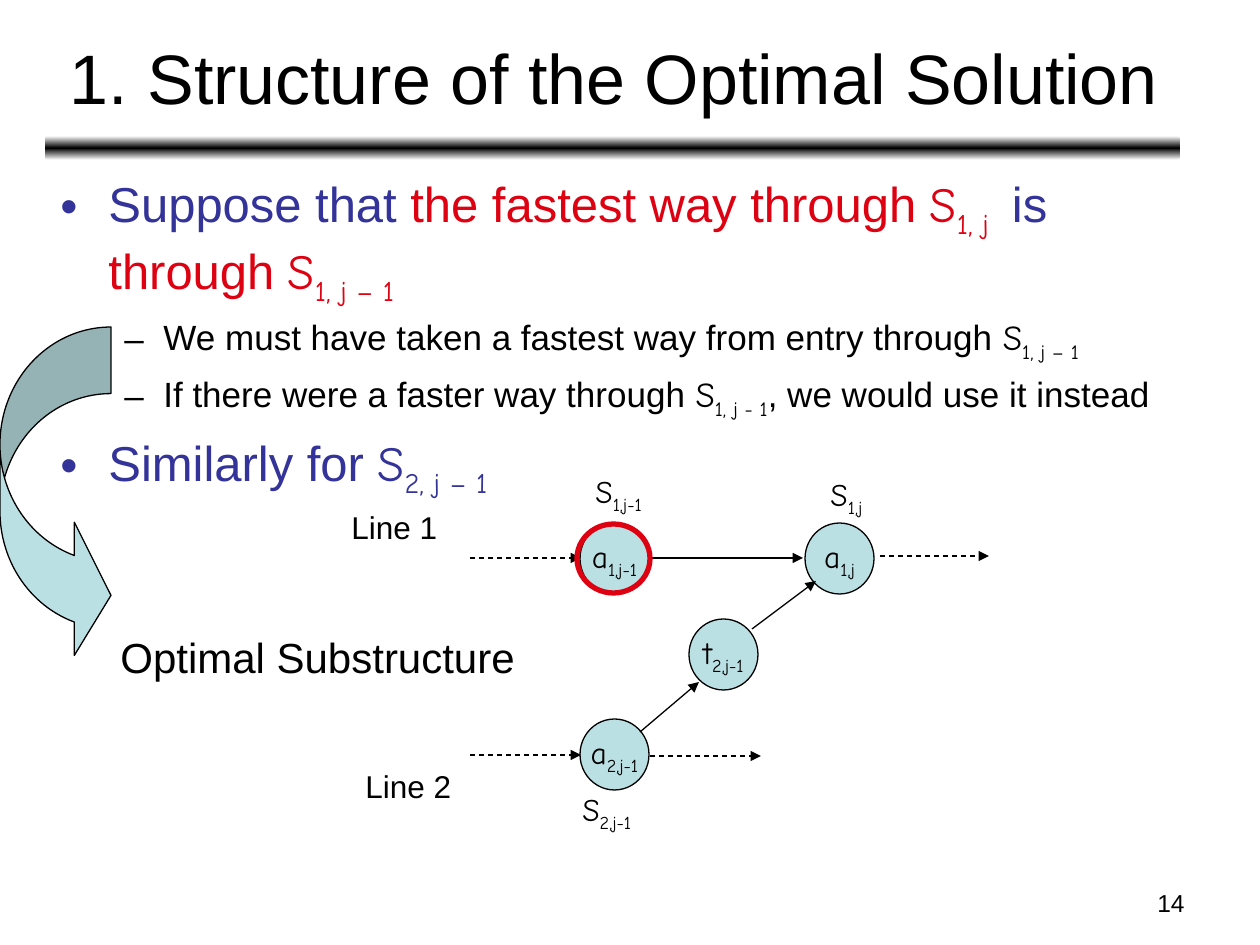
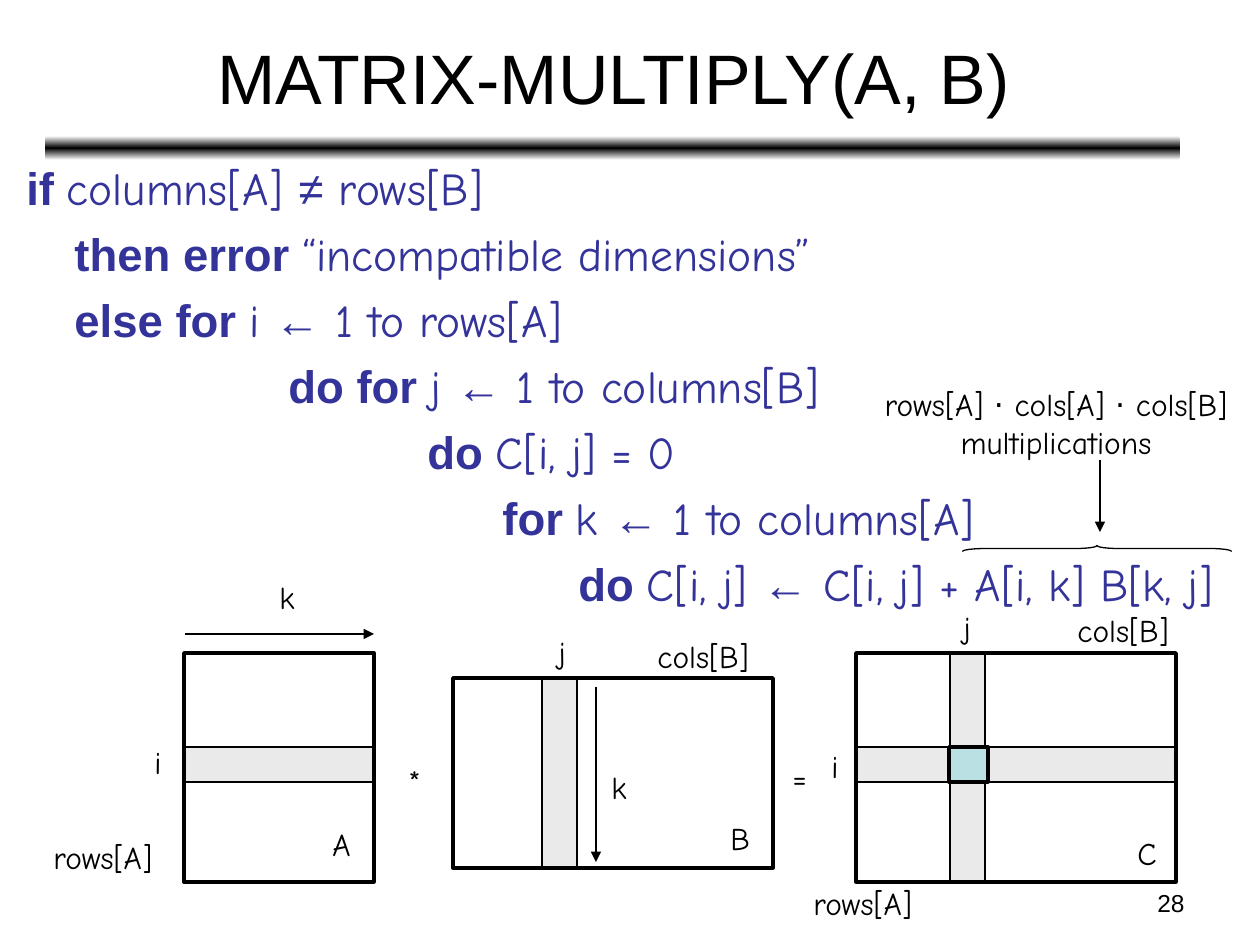
from copy import deepcopy

from pptx import Presentation
from pptx import util as u
from pptx.dml.color import RGBColor
from pptx.enum import dml, shapes, text
from pptx.oxml.ns import qn
from pptx.oxml.xmlchemy import OxmlElement

SCALE = 914400 / 126  # EMU in one px
SANS, COMIC = "Arial", "Comic Neue"
BLACK = RGBColor(0, 0, 0)
WHITE = RGBColor(255, 255, 255)
NAVY = RGBColor(0x33, 0x33, 0x99)
RED = RGBColor(0xDD, 0x01, 0x11)
AQUA = RGBColor(0xBB, 0xE0, 0xE3)
GREY = RGBColor(0xEA, 0xEA, 0xEA)
KIND = shapes.MSO_SHAPE
LEFT, MID, RIGHT = text.PP_ALIGN.LEFT, text.PP_ALIGN.CENTER, text.PP_ALIGN.RIGHT


def px(n):
    return u.Emu(round(n * SCALE))


def write(par, runs, size, color=BLACK):
    """Add (words, look[, color]) runs; look: "" sans, "b" bold, "c" comic, "s" comic subscript."""
    for words, look, *hue in runs:
        run = par.add_run()
        run.text = words
        font = run.font
        font.name = COMIC if look in ("c", "s") else SANS
        font.size = u.Pt(size)
        font.bold = look == "b"
        font.color.rgb = hue[0] if hue else color
        if look == "s":
            run._r.get_or_add_rPr().set("baseline", "-25000")


def indent(par, left, first=0, mark=None, color=BLACK):
    """Set the margin and first-line offset in px, with a bullet if mark is given."""
    props = par._p.get_or_add_pPr()
    props.set("marL", str(px(left)))
    props.set("indent", str(px(first)))
    if mark:
        hue = OxmlElement("a:buClr")
        rgb = OxmlElement("a:srgbClr")
        rgb.set("val", str(color))
        hue.append(rgb)
        face = OxmlElement("a:buFont")
        face.set("typeface", SANS)
        char = OxmlElement("a:buChar")
        char.set("char", mark)
        props.extend([hue, face, char])


def frame(slide, x, y, w, h):
    box = slide.shapes.add_textbox(px(x), px(y), px(w), px(h)).text_frame
    box.word_wrap = True
    return box


def label(slide, x, y, w, h, *lines, size=18, align=LEFT):
    box = frame(slide, x, y, w, h)
    box.word_wrap = False
    box.auto_size = text.MSO_AUTO_SIZE.SHAPE_TO_FIT_TEXT
    for i, runs in enumerate(lines):
        par = box.add_paragraph() if i else box.paragraphs[0]
        par.alignment = align
        write(par, runs, size)


def form(slide, kind, x, y, w, h, fill=None, line=BLACK, width=0.75):
    item = slide.shapes.add_shape(kind, px(x), px(y), px(w), px(h))
    item.shadow.inherit = False
    if fill is None:
        item.fill.background()
    else:
        item.fill.solid()
        item.fill.fore_color.rgb = fill
    if line is None:
        item.line.fill.background()
    else:
        item.line.color.rgb = line
        item.line.width = u.Pt(width)
    return item


def arrow(slide, x1, y1, x2, y2, dash=False):
    item = slide.shapes.add_connector(
        shapes.MSO_CONNECTOR.STRAIGHT, px(x1), px(y1), px(x2), px(y2))
    item.line.color.rgb = BLACK
    item.line.width = u.Pt(0.75)
    if dash:
        item.line.dash_style = dml.MSO_LINE.DASH
    tip = OxmlElement("a:tailEnd")
    tip.set("type", "triangle")
    item.line._get_or_add_ln().append(tip)
    item._element.spPr.append(OxmlElement("a:effectLst"))


def node(slide, x, y, name, sub):
    """Draw one station circle with a subscripted name."""
    box = form(slide, KIND.OVAL, x, y, 69, 71, AQUA).text_frame
    box.word_wrap = False
    box.vertical_anchor = text.MSO_ANCHOR.MIDDLE
    par = box.paragraphs[0]
    par.alignment = MID
    write(par, [(name, "c"), (sub, "s")], 18)


def band(slide):
    item = form(slide, KIND.ROUNDED_RECTANGLE, 45, 136, 1135, 24, WHITE, None)
    item.fill.gradient()
    item.fill.gradient_angle = 90
    stops = item._element.spPr.find(qn("a:gradFill")).find(qn("a:gsLst"))
    stops.append(deepcopy(stops[0]))
    for stop, color, pos in zip(item.fill.gradient_stops, (WHITE, BLACK, WHITE), (0, 0.5, 1)):
        stop.color.rgb = color
        stop.position = pos


def page(deck, title, number):
    slide = deck.slides.add_slide(deck.slide_layouts[6])
    band(slide)
    foot = frame(slide, 903, 882, 294, 44).paragraphs[0]
    foot.alignment = RIGHT
    write(foot, [(number, "")], 14)
    head = frame(slide, 47, 14, 1134, 125)
    head.vertical_anchor = text.MSO_ANCHOR.MIDDLE
    head.paragraphs[0].alignment = MID
    write(head.paragraphs[0], [(title, "")], 40)
    return slide


def points(slide):
    prev = [("S", "c"), ("1, j – 1", "s")]
    items = [
        (0, [("Suppose that ", ""), ("the fastest way through ", "", RED),
             ("S", "c", RED), ("1, j ", "s", RED), (" is ", ""),
             ("through ", "", RED)] + [(*run, RED) for run in prev]),
        (1, [("We must have taken a fastest way from entry through ", "")] + prev),
        (1, [("If there were a faster way through ", ""), ("S", "c"),
             ("1, j - 1", "s"), (", we would use it instead", "")]),
        (0, [("Similarly for ", ""), ("S", "c"), ("2, j – 1", "s")]),
    ]
    levels = [(28, NAVY, "•", 48, -48, 7), (20, BLACK, "–", 103, -39, 5)]
    box = frame(slide, 48, 167, 1177, 699)
    for i, (level, runs) in enumerate(items):
        size, color, mark, left, first, gap = levels[level]
        par = box.add_paragraph() if i else box.paragraphs[0]
        par.space_before = u.Pt(gap)
        par.level = level
        indent(par, left, first, mark, color)
        write(par, runs, size, color)


def lines(slide):
    """Draw the two assembly lines."""
    for x, y, name, sub in [(805, 523, "a", "1,j"), (580, 523, "a", "1,j-1"),
                            (580, 719, "a", "2,j-1"), (689, 619, "t", "2,j-1")]:
        node(slide, x, y, name, sub)
    for x, y, w, sub in [(818, 469, 57, "1,j"), (583, 466, 74, "1,j-1"),
                         (570, 784, 74, "2,j-1")]:
        label(slide, x, y, w, 55, [("S", "c"), (sub, "s")])
    for ends in [(470, 558, 581, 558), (470, 755, 581, 755),
                 (880, 556, 989, 556), (650, 756, 761, 756)]:
        arrow(slide, *ends, dash=True)
    for ends in [(650, 558, 803, 558), (640, 732, 699, 682), (752, 629, 816, 581)]:
        arrow(slide, *ends)
    form(slide, KIND.OVAL, 577, 524, 73, 69, None, RED, 3)
    label(slide, 339, 502, 111, 50, [("Line 1", "")])
    label(slide, 353, 761, 111, 50, [("Line 2", "")])


def swoop(slide):
    item = form(slide, KIND.CURVED_RIGHT_ARROW, 0, 327, 111, 335, AQUA)
    for i, value in enumerate((0.6, 1.2, 0.33)):
        item.adjustments[i] = value
    label(slide, 108, 625, 420, 63, [("Optimal Substructure", "")], size=24)


def code(slide):
    put = ("←", "")
    rows = [
        (0, [("if ", "b"), ("columns[A] ", "c"), ("≠", ""), (" rows[B]", "c")]),
        (48, [("then error ", "b"), ("“incompatible dimensions”", "c")]),
        (48, [("else for ", "b"), ("i ", "c"), put, (" 1 to rows[A]", "c")]),
        (262, [("do for ", "b"), ("j ", "c"), put, (" 1 to columns[B]", "c")]),
        (401, [("do ", "b"), ("C[i, j] = 0", "c")]),
        (476, [("for ", "b"), ("k ", "c"), put, (" 1 to columns[A]", "c")]),
        (552, [("do ", "b"), ("C[i, j] ", "c"), put, (" C[i, j] + A[i, k] B[k, j]", "c")]),
    ]
    box = frame(slide, 14, 154, 1246, 699)
    for i, (left, runs) in enumerate(rows):
        par = box.add_paragraph() if i else box.paragraphs[0]
        par.space_before = u.Pt(6.5)
        indent(par, left)
        write(par, runs, 26, NAVY)


def grids(slide):
    """Draw matrices A, B and C with the row and column in use."""
    for spot in [(856, 747, 319, 35), (542, 679, 35, 188),
                 (950, 653, 35, 228), (184, 747, 190, 35)]:
        form(slide, KIND.RECTANGLE, *spot, GREY)
    for spot in [(184, 653, 190, 229), (453, 678, 320, 190), (856, 653, 320, 229)]:
        form(slide, KIND.RECTANGLE, *spot, width=2)
    form(slide, KIND.RECTANGLE, 949, 747, 39, 35, AQUA, width=2)
    for x, y, w, words in [
            (41, 832, 128, "rows[A]"), (801, 878, 128, "rows[A]"),
            (645, 631, 124, "cols[B]"), (1065, 605, 124, "cols[B]"),
            (142, 737, 32, "i"), (819, 741, 32, "i"),
            (546, 627, 33, "j"), (951, 602, 33, "j"),
            (320, 819, 43, "A"), (718, 813, 44, "B"), (1125, 828, 44, "C"),
            (396, 756, 38, "*"), (780, 752, 39, "="),
            (267, 572, 40, "k"), (599, 762, 40, "k")]:
        label(slide, x, y, w, 50, [(words, "c")])
    arrow(slide, 185, 634, 374, 634)
    arrow(slide, 596, 687, 596, 862)


def cost(slide):
    dot = ("⋅", "")
    label(slide, 864, 379, 384, 88,
          [("rows[A] ", "c"), dot, (" cols[A] ", "c"), dot, (" cols[B]", "c")],
          [("multiplications", "c")], align=MID)
    brace = form(slide, KIND.LEFT_BRACE, 1094, 414, 6, 269)
    brace.adjustments[0] = 3.6
    brace.rotation = 90
    arrow(slide, 1100, 460, 1100, 532)


def main():
    deck = Presentation()
    deck.slide_width, deck.slide_height = px(1260), px(945)
    slide = page(deck, "1. Structure of the Optimal Solution", "14")
    points(slide)
    lines(slide)
    swoop(slide)
    slide = page(deck, "MATRIX-MULTIPLY(A, B)", "28")
    grids(slide)
    code(slide)
    cost(slide)
    deck.save("out.pptx")


if __name__ == "__main__":
    main()
